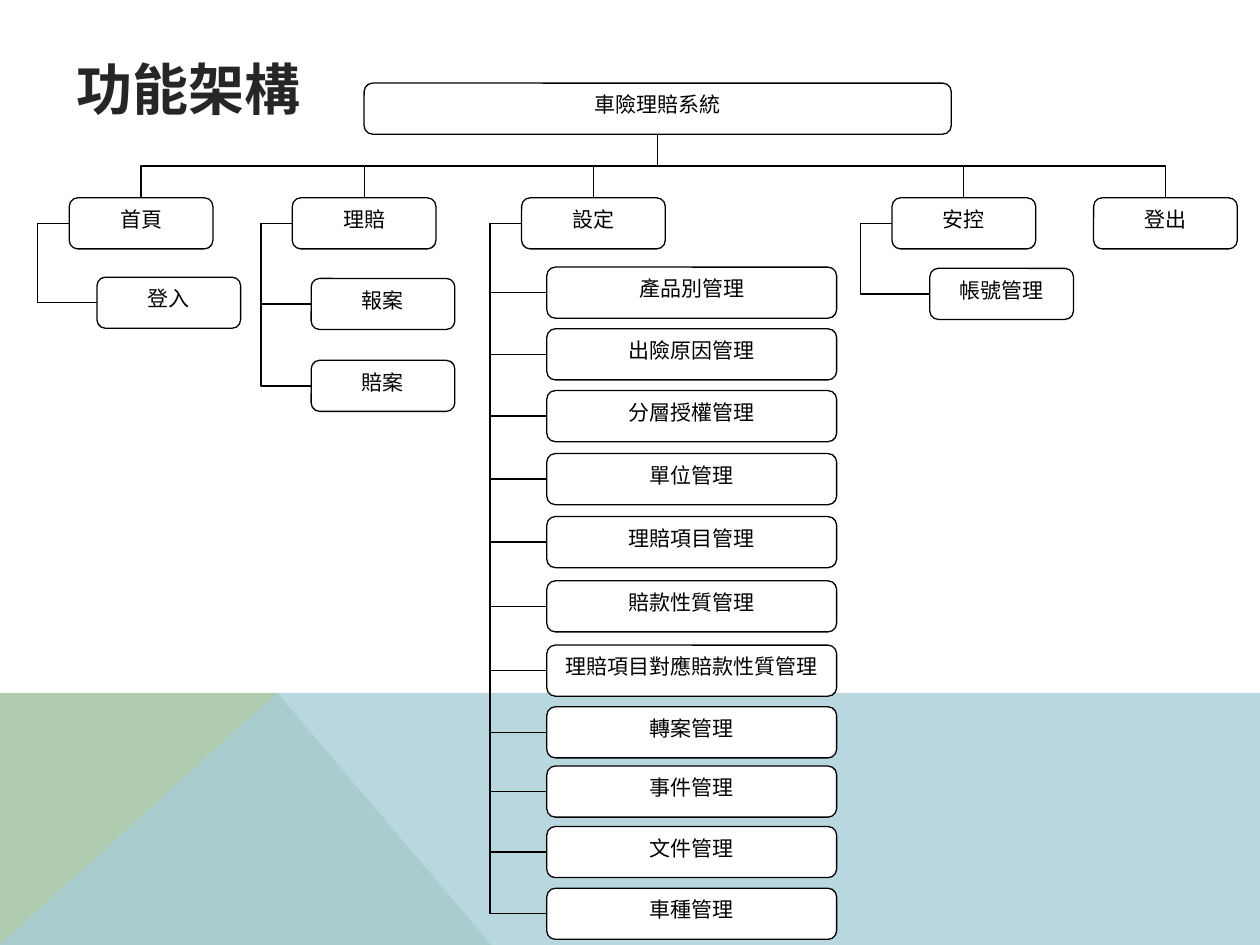
"""Build the function architecture slide of a car claims system as a tree of boxes."""
from dataclasses import dataclass

from lxml.etree import SubElement
from pptx import Presentation
from pptx.dml.color import RGBColor
from pptx.enum.shapes import MSO_CONNECTOR as Connectors, MSO_SHAPE as Shapes
from pptx.enum.text import MSO_ANCHOR as Anchor, PP_ALIGN as Align
from pptx.oxml.ns import qn
from pptx.shapes.autoshape import Shape
from pptx.shapes.connector import Connector
from pptx.slide import Slide
from pptx.text.text import _Paragraph as Paragraph
from pptx.util import Inches, Pt

COLUMNS, ROWS = 100, 75
CELL = Inches(0.1)
COLORS = {
    "green": "B0CCB0",
    "blue": "A8CDD7",
    "title": "262626",
    "box": "FFFFFF",
    "ink": "000000",
}
BOX_WIDTH, WIDE_BOX, BOX_HEIGHT = 11.4, 23, 4.05
BRANCH_ROW, BRANCH_GAP = 15.7, 2.5
TOP, LEFT, BOTTOM = 0, 1, 2
QUARTER_TURN = 5400000


@dataclass(frozen=True)
class Leaf:
    text: str
    row: float


@dataclass(frozen=True)
class Branch:
    text: str
    column: float
    leaf_column: float = 0
    leaf_width: float = BOX_WIDTH
    leaves: tuple[Leaf, ...] = ()


@dataclass(frozen=True)
class Backdrop:
    color: str
    points: tuple[tuple[float, float], ...]
    opacity: int = 100


BACKDROPS = (
    Backdrop("green", ((0, ROWS), (0, 55.2), (22.3, 55.2), (39.1, ROWS))),
    Backdrop("blue", ((0, ROWS), (22.3, 55.2), (COLUMNS, 55.3), (COLUMNS, ROWS)), 80),
)
BRANCHES = (
    Branch("首頁", 5.5, 7.7, leaves=(Leaf("登入", 22),)),
    Branch("理賠", 23.2, 24.7, leaves=(Leaf("報案", 22.1), Leaf("賠案", 28.6))),
    Branch("設定", 41.4, 43.4, WIDE_BOX, (
        Leaf("產品別管理", 21.2),
        Leaf("出險原因管理", 26.1),
        Leaf("分層授權管理", 31),
        Leaf("單位管理", 36),
        Leaf("理賠項目管理", 41),
        Leaf("賠款性質管理", 46.1),
        Leaf("理賠項目對應賠款性質管理", 51.2),
        Leaf("轉案管理", 56.1),
        Leaf("事件管理", 60.8),
        Leaf("文件管理", 65.6),
        Leaf("車種管理", 70.5),
    )),
    Branch("安控", 70.8, 73.8, leaves=(Leaf("帳號管理", 21.3),)),
    Branch("登出", 86.8),
)


def cells(count: float) -> int:
    return round(count * CELL)


def color(name: str) -> RGBColor:
    return RGBColor.from_string(COLORS[name])


def add_run(paragraph: Paragraph, text: str, size: int, font: str, ink: str, bold: bool = False) -> None:
    run = paragraph.add_run()
    run.text = text
    run.font.size, run.font.name, run.font.bold = Pt(size), font, bold
    run.font.color.rgb = color(ink)


def add_backdrop(slide: Slide, backdrop: Backdrop) -> None:
    start, *others = backdrop.points
    builder = slide.shapes.build_freeform(*start, scale=CELL)
    builder.add_line_segments(others, close=True)
    shape = builder.convert_to_shape()
    shape.shadow.inherit = False
    shape.line.fill.background()
    shape.fill.solid()
    shape.fill.fore_color.rgb = color(backdrop.color)
    if backdrop.opacity < 100:
        fill = shape.element.spPr.find(f".//{qn('a:srgbClr')}")
        SubElement(fill, qn("a:alpha"), val=str(backdrop.opacity * 1000))


def add_title(slide: Slide, text: str) -> None:
    shape = slide.shapes.add_textbox(cells(5.1), cells(4), cells(90.6), cells(6))
    shape.text_frame.word_wrap = True
    shape.text_frame.vertical_anchor = Anchor.MIDDLE
    add_run(shape.text_frame.paragraphs[0], text, 32, "Arial", "title", bold=True)


def add_box(slide: Slide, text: str, column: float, row: float, width: float = BOX_WIDTH) -> Shape:
    shape = slide.shapes.add_shape(
        Shapes.ROUNDED_RECTANGLE, cells(column), cells(row), cells(width), cells(BOX_HEIGHT)
    )
    shape.shadow.inherit = False
    shape.fill.solid()
    shape.fill.fore_color.rgb = color("box")
    shape.line.color.rgb = color("ink")
    shape.line.width = Pt(0.75)
    shape.text_frame.word_wrap = True
    shape.text_frame.vertical_anchor = Anchor.TOP
    paragraph = shape.text_frame.paragraphs[0]
    paragraph.alignment = Align.CENTER
    add_run(paragraph, text, 12, "Calibri", "ink")
    return shape


def add_elbow(slide: Slide, parent: Shape, child: Shape, sites: tuple[int, int]) -> Connector:
    connector = slide.shapes.add_connector(Connectors.ELBOW, 0, 0, 0, 0)
    connector.begin_connect(parent, sites[0])
    connector.end_connect(child, sites[1])
    connector.line.color.rgb = color("ink")
    connector.line.width = Pt(0.75)
    SubElement(connector.element.spPr, qn("a:effectLst"))
    return connector


def orient(connector: Connector, turns: int, flip_h: bool, flip_v: bool, bend: float) -> None:
    properties = connector.element.spPr
    frame = properties.find(qn("a:xfrm"))
    frame.set("rot", str(turns * QUARTER_TURN))
    frame.set("flipH", str(int(flip_h)))
    frame.set("flipV", str(int(flip_v)))
    guides = properties.find(f".//{qn('a:avLst')}")
    SubElement(guides, qn("a:gd"), name="adj1", fmla=f"val {round(bend * 100000)}")


def link_down(slide: Slide, parent: Shape, child: Shape) -> None:
    connector = add_elbow(slide, parent, child, (BOTTOM, TOP))
    rightward = connector.end_x > connector.begin_x
    center_x = connector.left + connector.width // 2
    center_y = connector.top + connector.height // 2
    connector.width, connector.height = connector.height, connector.width
    connector.left = center_x - connector.width // 2
    connector.top = center_y - connector.height // 2
    orient(connector, 3 if rightward else 1, rightward, False, 0.5)


def link_side(slide: Slide, parent: Shape, child: Shape) -> None:
    connector = add_elbow(slide, parent, child, (LEFT, LEFT))
    orient(connector, 2, True, True, -cells(BRANCH_GAP) / connector.width)


def add_branch(slide: Slide, root: Shape, branch: Branch) -> None:
    parent = add_box(slide, branch.text, branch.column, BRANCH_ROW)
    link_down(slide, root, parent)
    for leaf in branch.leaves:
        child = add_box(slide, leaf.text, branch.leaf_column, leaf.row, branch.leaf_width)
        link_side(slide, parent, child)


def main() -> None:
    presentation = Presentation()
    presentation.slide_width, presentation.slide_height = cells(COLUMNS), cells(ROWS)
    slide = presentation.slides.add_slide(presentation.slide_layouts[6])
    for backdrop in BACKDROPS:
        add_backdrop(slide, backdrop)
    add_title(slide, "功能架構")
    root = add_box(slide, "車險理賠系統", 28.9, 6.6, 46.6)
    for branch in BRANCHES:
        add_branch(slide, root, branch)
    presentation.save("out.pptx")


if __name__ == "__main__":
    main()
